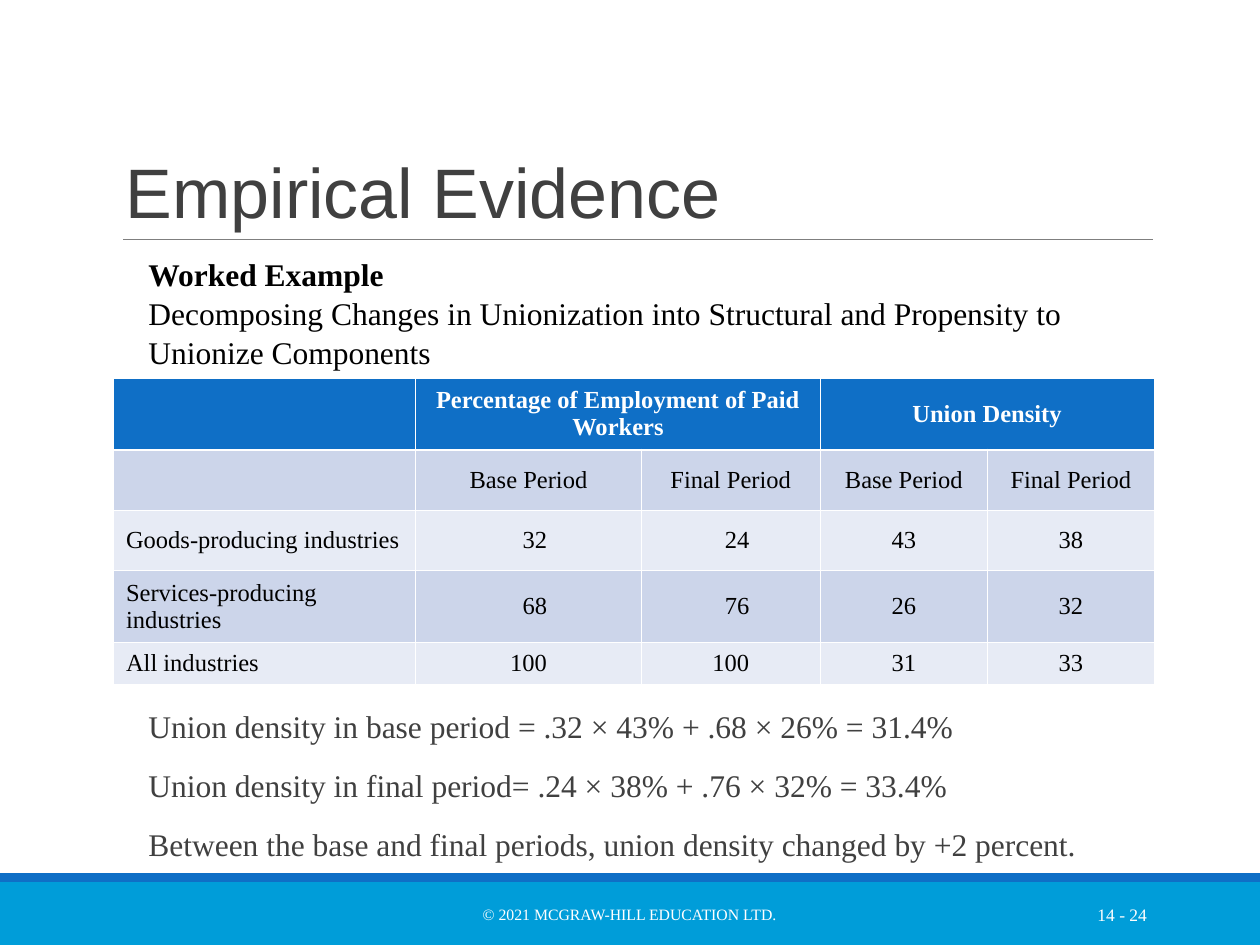
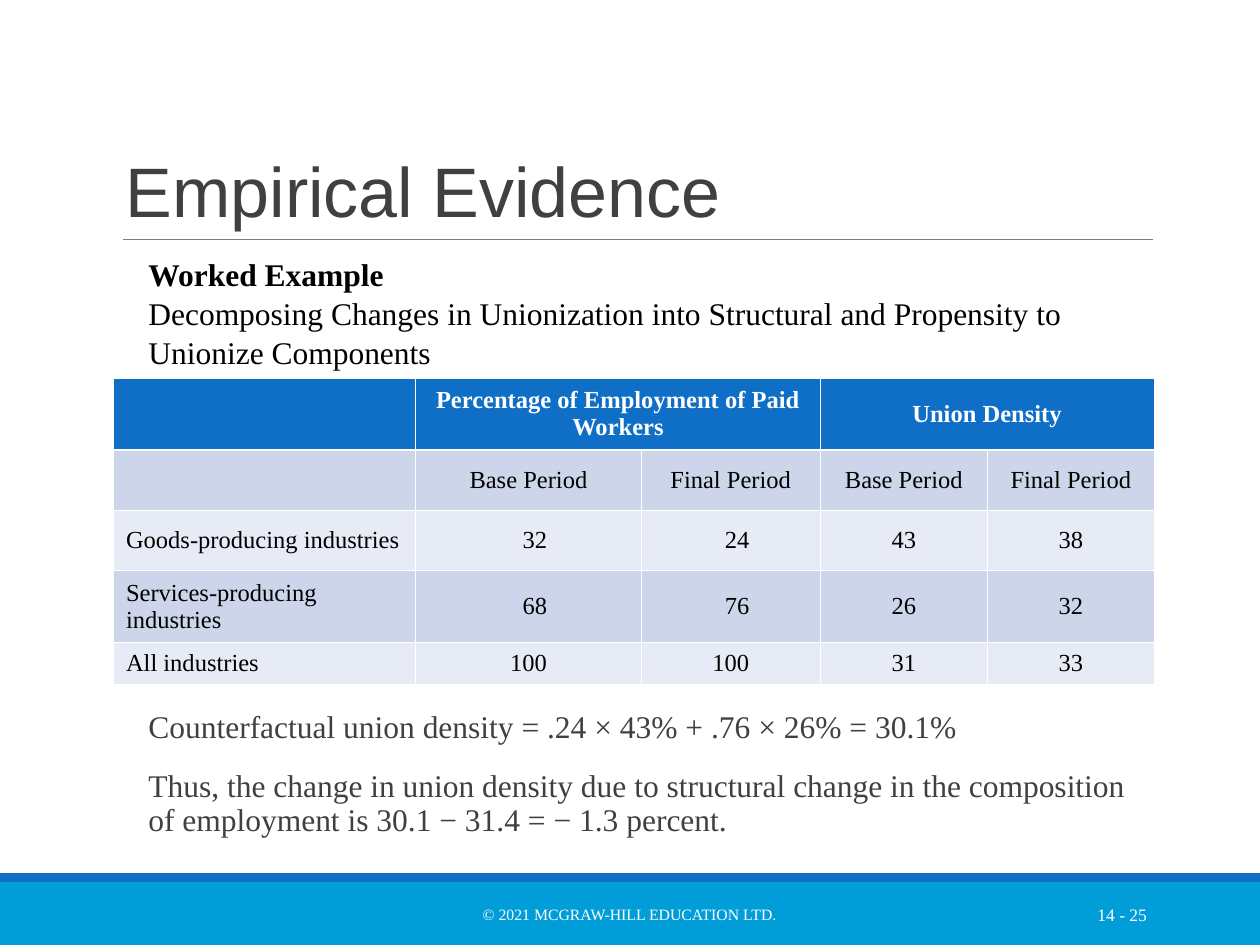
from lxml.etree import SubElement
from pptx import Presentation
from pptx.dml.color import RGBColor
from pptx.enum.shapes import MSO_CONNECTOR, MSO_SHAPE
from pptx.enum.text import MSO_ANCHOR, PP_ALIGN
from pptx.oxml.ns import qn
from pptx.util import Inches, Pt

# Content
TITLE = "Empirical Evidence"
COPYRIGHT = "© 2021 MCGRAW-HILL EDUCATION LTD."
INTRO = [
    "Worked Example",
    "Decomposing Changes in Unionization into Structural and Propensity to "
    "Unionize Components",
]
PERIODS = ["Base Period", "Final Period"]
TABLE_ROWS = [
    ["", "Percentage of Employment of Paid Workers", "", "Union Density", ""],
    ["", *PERIODS, *PERIODS],
    ["Goods-producing industries", "32", "24", "43", "38"],
    ["Services-producing industries", "68", "76", "26", "32"],
    ["All industries", "100", "100", "31", "33"],
]
SLIDES = [
    {
        "number": "14 - 24",
        "title_top": 0.31,
        "results": [
            "Union density in base period = .32 × 43% + .68 × 26% = 31.4%",
            "Union density in final period= .24 × 38% + .76 × 32% = 33.4%",
            "Between the base and final periods, union density changed by +2 percent.",
        ],
    },
    {
        "number": "14 - 25",
        "title_top": 0.3,
        "results": [
            "Counterfactual union density = .24 × 43% + .76 × 26% = 30.1%",
            "Thus, the change in union density due to structural change in the "
            "composition of employment is 30.1 − 31.4 = − 1.3 percent.",
        ],
    },
]

# Look
WHITE = RGBColor(0xFF, 0xFF, 0xFF)
BLACK = RGBColor(0, 0, 0)
DARK_GREY = RGBColor(0x40, 0x40, 0x40)
RULE_GREY = RGBColor(0x7F, 0x7F, 0x7F)
BLUE = RGBColor(0x0F, 0x6F, 0xC6)
CYAN = RGBColor(0x00, 0x9D, 0xD9)
ROW_FILLS = [RGBColor(0xE7, 0xEB, 0xF5), RGBColor(0xCC, 0xD5, 0xEA)]
SERIF = "Times New Roman"

TITLE_FONT = {"name": "Arial", "size": Pt(40), "color": DARK_GREY}
INTRO_FONT = {"name": SERIF, "size": Pt(18), "color": BLACK}
RESULT_FONT = {"name": SERIF, "size": Pt(18), "color": DARK_GREY}
HEADER_FONT = {"name": SERIF, "size": Pt(14), "color": WHITE, "bold": True}
CELL_FONT = {"name": SERIF, "size": Pt(14), "color": BLACK, "bold": False}
COPYRIGHT_FONT = {"name": SERIF, "size": Pt(9), "color": WHITE}
NUMBER_FONT = {"name": SERIF, "size": Pt(10), "color": WHITE}

# Places, in inches
BANDS = [(7, 0.5, CYAN), (6.93, 0.07, BLUE)]
TABLE_LEFT, TABLE_TOP = 0.9, 3
COLUMN_WIDTHS = [2.4, 1.79, 1.42, 1.33, 1.32]
ROW_HEIGHTS = [0.57, 0.48, 0.48, 0.57, 0.33]
THIN, THICK = Pt(0.45), Pt(1.47)


def set_font(font, values):
    for name, value in values.items():
        if name == "color":
            font.color.rgb = value
        else:
            setattr(font, name, value)


def add_text(page, place, lines, font, frame_format=None, **para_format):
    """Add a wrapped text box and return its paragraphs."""
    frame = page.shapes.add_textbox(*map(Inches, place)).text_frame
    for name, value in {"word_wrap": True, **(frame_format or {})}.items():
        setattr(frame, name, value)
    frame.text = "\n".join(lines)
    for index, para in enumerate(frame.paragraphs):
        for name, value in para_format.items():
            if index or name != "space_before":
                setattr(para, name, value)
        set_font(para.font, font)
    return frame.paragraphs


def add_frame(page, number):
    """Draw the bands, the title rule and the footer."""
    for top, height, colour in BANDS:
        band = page.shapes.add_shape(
            MSO_SHAPE.RECTANGLE, 0, Inches(top), Inches(10), Inches(height))
        band.shadow.inherit = False
        band.fill.solid()
        band.fill.fore_color.rgb = colour
        band.line.fill.background()
    rule = page.shapes.add_connector(
        MSO_CONNECTOR.STRAIGHT, Inches(0.98), Inches(1.9), Inches(9.15), Inches(1.9))
    rule.line.color.rgb = RULE_GREY
    rule.line.width = Pt(0.5)
    SubElement(rule._element.spPr, qn("a:effectLst"))

    middle = {"vertical_anchor": MSO_ANCHOR.MIDDLE}
    add_text(page, (3.02, 7.06, 3.95, 0.4), [COPYRIGHT], COPYRIGHT_FONT, middle,
             alignment=PP_ALIGN.CENTER)
    add_text(page, (8.12, 7.06, 1.08, 0.4), [number], NUMBER_FONT, middle,
             alignment=PP_ALIGN.RIGHT)


def set_borders(cell, widths):
    """Give a cell white borders; the fill must follow them in the XML."""
    properties = cell._tc.get_or_add_tcPr()
    for side, width in widths.items():
        line = SubElement(properties, qn(f"a:ln{side}"), w=str(width))
        fill = SubElement(line, qn("a:solidFill"))
        SubElement(fill, qn("a:srgbClr"), val=str(WHITE))


def add_density_table(page):
    table = page.shapes.add_table(
        len(ROW_HEIGHTS), len(COLUMN_WIDTHS), Inches(TABLE_LEFT), Inches(TABLE_TOP),
        Inches(sum(COLUMN_WIDTHS)), Inches(sum(ROW_HEIGHTS))).table
    for column, width in zip(table.columns, COLUMN_WIDTHS):
        column.width = Inches(width)
    for row, height in zip(table.rows, ROW_HEIGHTS):
        row.height = Inches(height)

    for r, texts in enumerate(TABLE_ROWS):
        for c, text in enumerate(texts):
            cell = table.cell(r, c)
            set_borders(cell, {"L": THIN, "R": THIN,
                               "T": THICK if r == 1 else THIN,
                               "B": THICK if r == 0 else THIN})
            cell.fill.solid()
            cell.fill.fore_color.rgb = ROW_FILLS[r % 2] if r else BLUE
            cell.vertical_anchor = MSO_ANCHOR.MIDDLE
            # Two-digit employment shares sit under the last digits of 100
            if c in (1, 2) and len(text) == 2:
                cell.margin_left = Inches(0.2)
            cell.text = text
            para = cell.text_frame.paragraphs[0]
            para.alignment = PP_ALIGN.CENTER if c else PP_ALIGN.LEFT
            set_font(para.font, CELL_FONT if r else HEADER_FONT)
    for c in (1, 3):
        table.cell(0, c).merge(table.cell(0, c + 1))


def add_slide(deck, content):
    page = deck.slides.add_slide(deck.slide_layouts[6])
    add_frame(page, content["number"])
    add_density_table(page)
    add_text(page, (0.9, content["title_top"], 8.25, 1.59), [TITLE], TITLE_FONT,
             {"vertical_anchor": MSO_ANCHOR.BOTTOM}, line_spacing=0.85)
    intro = add_text(page, (1.08, 1.96, 8.07, 1), INTRO, INTRO_FONT,
                     line_spacing=1.04)
    intro[0].font.bold = True
    add_text(page, (1.08, 5.6, 8.07, 1.4), content["results"], RESULT_FONT,
             {"margin_right": 0}, line_spacing=0.9,
             space_before=Pt(12), space_after=Pt(2))


def main():
    deck = Presentation()
    deck.slide_width, deck.slide_height = Inches(10), Inches(7.5)
    for content in SLIDES:
        add_slide(deck, content)
    deck.save("out.pptx")


if __name__ == "__main__":
    main()
